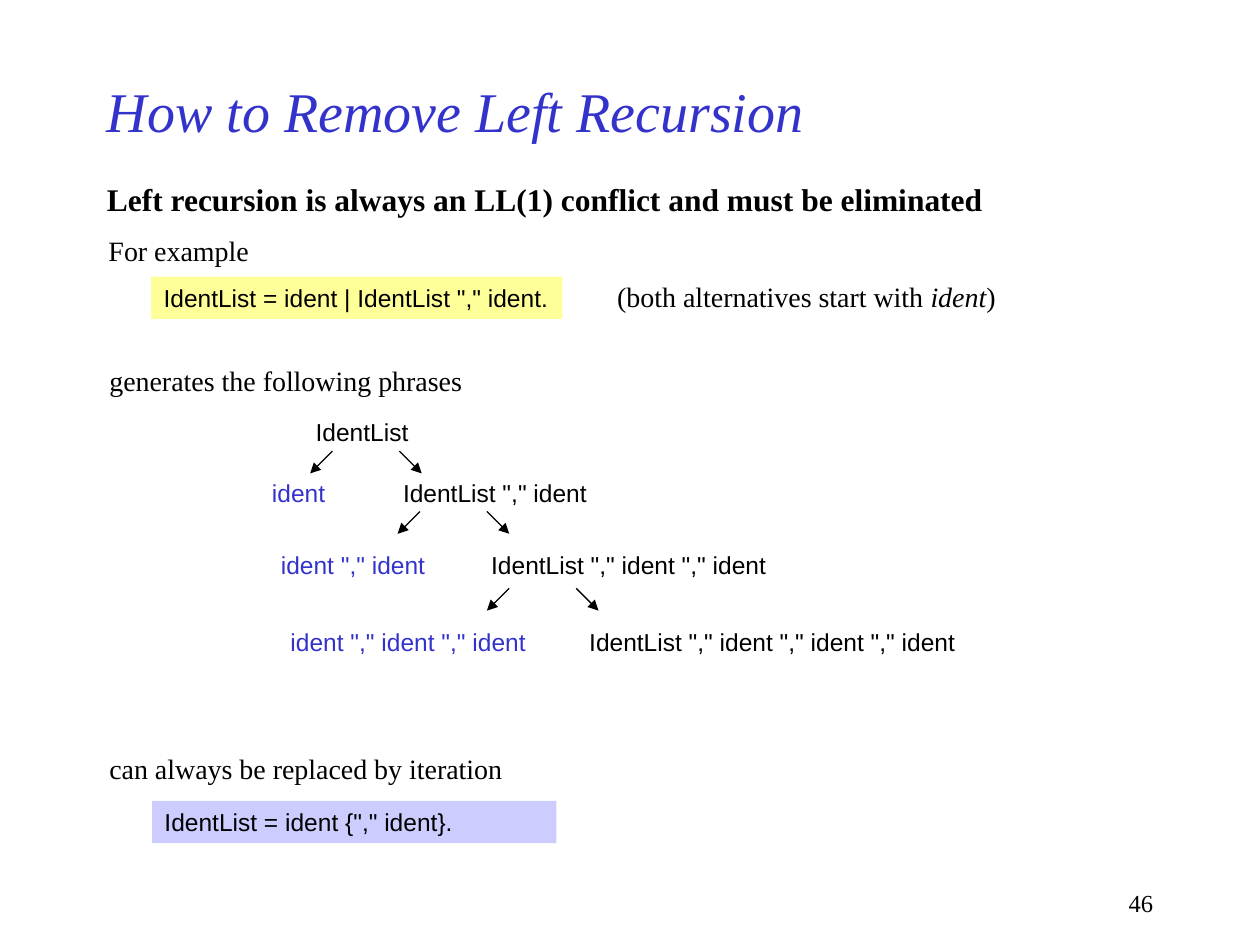
from dataclasses import dataclass

from lxml.etree import SubElement as Sub
from pptx import Presentation
from pptx.dml.color import RGBColor as Rgb
from pptx.enum.shapes import MSO_CONNECTOR as Conn, MSO_SHAPE as Kind
from pptx.enum.text import MSO_ANCHOR as Anchor, MSO_AUTO_SIZE as Auto, PP_ALIGN as Align
from pptx.oxml.ns import qn
from pptx.util import Pt

BLACK, BLUE = "000000", "3333CC"
SERIF, SANS = "Times New Roman", "Arial"
TITLE = {"name": SERIF, "size": Pt(32), "italic": True}
HEAD = {"name": SERIF, "size": Pt(18), "bold": True}
BODY = {"name": SERIF, "size": Pt(16)}
CODE = {"name": SANS, "size": Pt(14)}
PAGE = {"name": SERIF, "size": Pt(14)}


@dataclass
class Label:
    text: str
    x: float
    y: float
    w: float
    h: float
    font: dict
    color: str = BLACK
    fill: str = ""
    tail: tuple = ()  # further (text, italic) runs
    wrap: bool = False
    auto: Auto = Auto.SHAPE_TO_FIT_TEXT
    anchor: Anchor = Anchor.TOP
    align: Align = Align.LEFT


@dataclass
class Fork:
    x: float
    y: float


def paint(color: str) -> Rgb:
    return Rgb.from_string(color)


def draw_label(slide, item: Label) -> None:
    place = Pt(item.x), Pt(item.y), Pt(item.w), Pt(item.h)
    if item.fill:
        box = slide.shapes.add_shape(Kind.RECTANGLE, *place)
        box.shadow.inherit = False
        box.fill.solid()
        box.fill.fore_color.rgb = paint(item.fill)
        box.line.fill.background()
    else:
        box = slide.shapes.add_textbox(*place)
    frame = box.text_frame
    form = {"word_wrap": item.wrap, "auto_size": item.auto,
            "vertical_anchor": item.anchor}
    for key, value in form.items():
        setattr(frame, key, value)
    para = frame.paragraphs[0]
    para.alignment = item.align
    for text, slant in ((item.text, item.font.get("italic", False)), *item.tail):
        run = para.add_run()
        run.text = text
        for key, value in {**item.font, "italic": slant}.items():
            setattr(run.font, key, value)
        run.font.color.rgb = paint(item.color)


def draw_fork(slide, fork: Fork) -> None:
    gap, step = 38.25, 12.75
    for x, dx in ((fork.x, -step), (fork.x + gap, step)):
        line = slide.shapes.add_connector(
            Conn.STRAIGHT, Pt(x), Pt(fork.y), Pt(x + dx), Pt(fork.y + step))
        line.line.color.rgb = paint(BLACK)
        line.line.width = Pt(0.75)
        Sub(line.line._get_or_add_ln(), qn("a:tailEnd"), type="triangle")
        Sub(line._element.spPr, qn("a:effectLst"))


def code(text: str, x: float, y: float, w: float, color: str = BLACK) -> Label:
    return Label(text, x, y, w, 24.25, CODE, color)


def chain(first: str, count: int) -> str:
    return ' "," '.join([first] + ["ident"] * count)


# Title, running text and grammar rules
LABELS = [
    Label("How to Remove Left Recursion", 54, 36, 540, 54, TITLE, BLUE,
          wrap=True, auto=Auto.NONE, anchor=Anchor.MIDDLE),
    Label("Left recursion is always an LL(1) conflict and must be eliminated",
          54, 99.4, 517, 29, HEAD),
    Label('IdentList = ident | IdentList "," ident.', 86.4, 158, 235, 24.25,
          CODE, fill="FFFF99"),
    Label("For example", 54.9, 130, 96, 26.6, BODY),
    Label("(both alternatives start with ", 345.6, 156.2, 232, 26.6, BODY,
          tail=(("ident", True), (")", False))),
    Label("generates the following phrases", 55.4, 204.2, 218, 26.6, BODY),
    Label("can always be replaced by iteration", 55.4, 426, 241, 26.6, BODY),
    Label('IdentList = ident {"," ident}.', 86.9, 457.6, 231, 24.25, CODE,
          fill="CCCCFF", wrap=True),
    Label("46", 516.2, 504, 149.8, 23.8, PAGE, wrap=True, auto=Auto.NONE,
          align=Align.RIGHT),
]

# Derivation tree: top, left x, left width, right x, right width
ROWS = [
    (269.6, 148.3, 46, 223.2, 121),
    (310.7, 153.4, 98, 273.6, 173),
    (355, 158.9, 150.5, 329.6, 225.5),
]
FORKS = [Fork(190, 257.8), Fork(240, 292.3), Fork(291, 336.2)]


def main() -> None:
    deck = Presentation()
    deck.slide_width, deck.slide_height = Pt(720), Pt(540)
    slide = deck.slides.add_slide(deck.slide_layouts[6])
    for item in LABELS:
        draw_label(slide, item)
    draw_label(slide, code("IdentList", 173.3, 234.7, 69))
    for i, (y, lx, lw, rx, rw) in enumerate(ROWS):
        draw_fork(slide, FORKS[i])
        draw_label(slide, code(chain("ident", i), lx, y, lw, BLUE))
        draw_label(slide, code(chain("IdentList", i + 1), rx, y, rw))
    deck.save("out.pptx")


if __name__ == "__main__":
    main()
